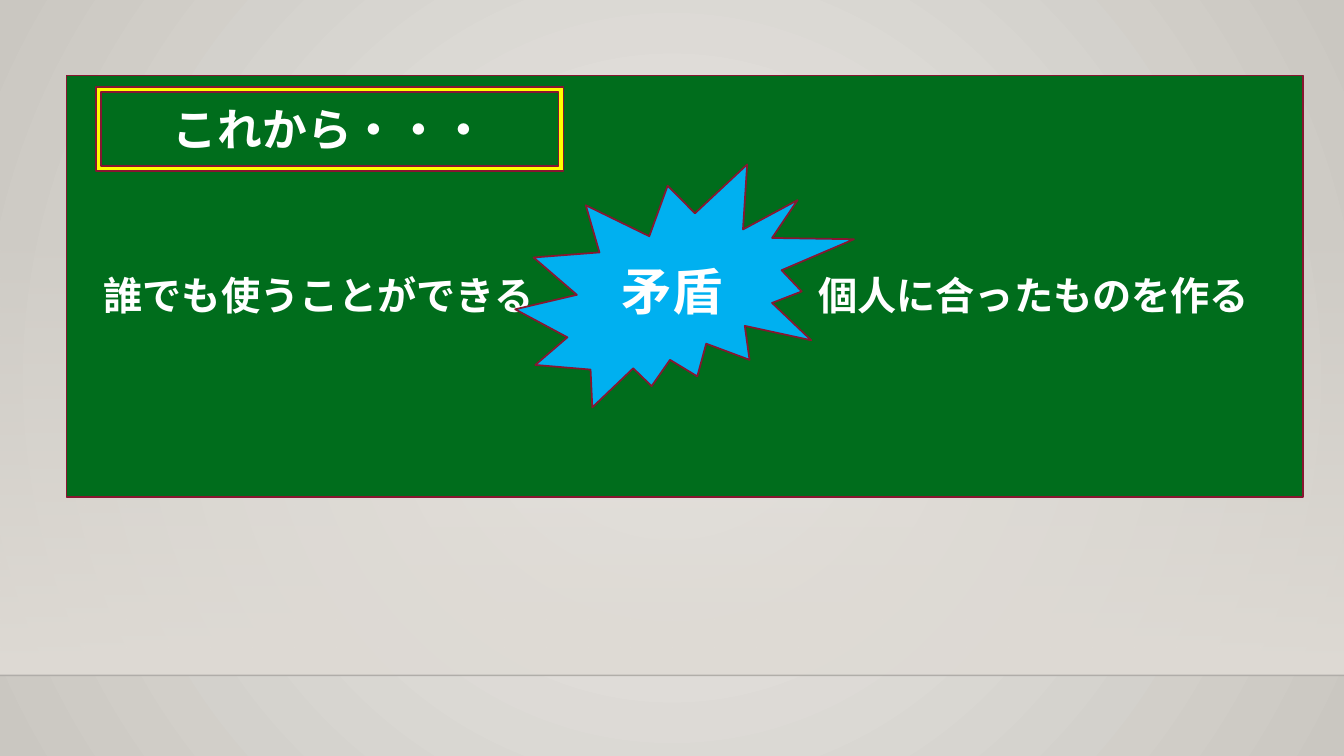
from pptx import Presentation
from pptx import util as u
from pptx.dml.color import RGBColor
from pptx.enum import shapes, text
from pptx.oxml import ns, parse_xml

COLORS = {
    "centre": "ECEAE7", "edge": "CAC7C1", "wall": "DFDBD5", "floor": "000001",
    "board": "006D1C", "outline": "871631", "frame": "FFFF00",
    "burst": "00B0F0", "text": "FFFFFF",
}
FONT = "Calibri"
SLIDE_WIDTH, SLIDE_HEIGHT = 960, 540
FLOOR_TOP = 482.4


def rgb(name):
    return RGBColor.from_string(COLORS[name])


def set_alpha(color_element, percent):
    alpha = color_element.makeelement(ns.qn("a:alpha"), {"val": str(percent * 1000)})
    color_element.append(alpha)


def fill_gradient(fill, names):
    fill.gradient()
    for stop, name, position in zip(fill.gradient_stops, names, (0, 1)):
        stop.color.rgb = rgb(name)
        stop.position = position


def paint_background(page):
    """Radial gradient from the middle of the page outwards."""
    fill_gradient(page.background.fill, ("centre", "edge"))
    gradient = next(page.element.iter(ns.qn("a:gradFill")))
    radial = parse_xml(
        f'<a:path {ns.nsdecls("a")} path="circle">'
        '<a:fillToRect l="50000" t="50000" r="50000" b="50000"/></a:path>')
    gradient.replace(gradient.find(ns.qn("a:lin")), radial)


def add_wall(page, top):
    """Band that fades in from clear at its top to solid at the floor line."""
    wall = page.shapes.add_shape(
        shapes.MSO_SHAPE.RECTANGLE, 0, u.Pt(top), u.Pt(SLIDE_WIDTH), u.Pt(FLOOR_TOP - top))
    wall.shadow.inherit = False
    wall.line.fill.background()
    fill_gradient(wall.fill, ("wall", "wall"))
    wall.fill.gradient_angle = 270
    set_alpha(next(wall.element.spPr.iter(ns.qn("a:srgbClr"))), 0)


def add_floor_line(page):
    line = page.shapes.add_connector(
        shapes.MSO_CONNECTOR.STRAIGHT, 0, u.Pt(FLOOR_TOP), u.Pt(SLIDE_WIDTH), u.Pt(FLOOR_TOP))
    line.line.width = u.Pt(1)
    line.line.color.rgb = rgb("floor")
    properties = line.element.spPr
    set_alpha(next(properties.iter(ns.qn("a:srgbClr"))), 20)
    properties.append(properties.makeelement(ns.qn("a:effectLst"), {}))


def write(box, words, size, align):
    para = box.text_frame.paragraphs[0]
    para.alignment = align
    span = para.add_run()
    span.text = words
    span.font.name = FONT
    span.font.size = u.Pt(size)
    span.font.bold = True
    span.font.color.rgb = rgb("text")


def add_panel(page, kind, place, color, words=None, size=None):
    panel = page.shapes.add_shape(kind, *map(u.Pt, place))
    panel.shadow.inherit = False
    panel.fill.solid()
    panel.fill.fore_color.rgb = rgb(color)
    panel.line.color.rgb = rgb("outline")
    panel.line.width = u.Pt(1.25)
    if words:
        panel.text_frame.vertical_anchor = text.MSO_ANCHOR.MIDDLE
        write(panel, words, size, text.PP_ALIGN.CENTER)
    return panel


def add_statement(page, place, words):
    box = page.shapes.add_textbox(*map(u.Pt, place))
    box.text_frame.word_wrap = True
    box.text_frame.auto_size = text.MSO_AUTO_SIZE.SHAPE_TO_FIT_TEXT
    write(box, words, 28, text.PP_ALIGN.LEFT)


def main():
    deck = Presentation()
    deck.slide_width, deck.slide_height = u.Pt(SLIDE_WIDTH), u.Pt(SLIDE_HEIGHT)
    page = deck.slides.add_slide(deck.slide_layouts[6])
    kinds = shapes.MSO_SHAPE

    paint_background(page)
    add_wall(page, 159)
    add_floor_line(page)
    add_panel(page, kinds.RECTANGLE, (47.5, 54, 883.5, 301), "board")
    heading = add_panel(page, kinds.FRAME, (68.5, 62, 334, 60), "frame", "これから・・・", 32)
    heading.adjustments[0] = 0.06
    add_statement(page, (67, 190, 844.5, 41), "誰でも使うことができる")
    add_statement(page, (577.5, 190, 408, 41), "個人に合ったものを作る")
    add_panel(page, kinds.EXPLOSION2, (368, 117.5, 242, 173.5), "burst", "矛盾", 36)
    deck.save("out.pptx")


if __name__ == "__main__":
    main()
